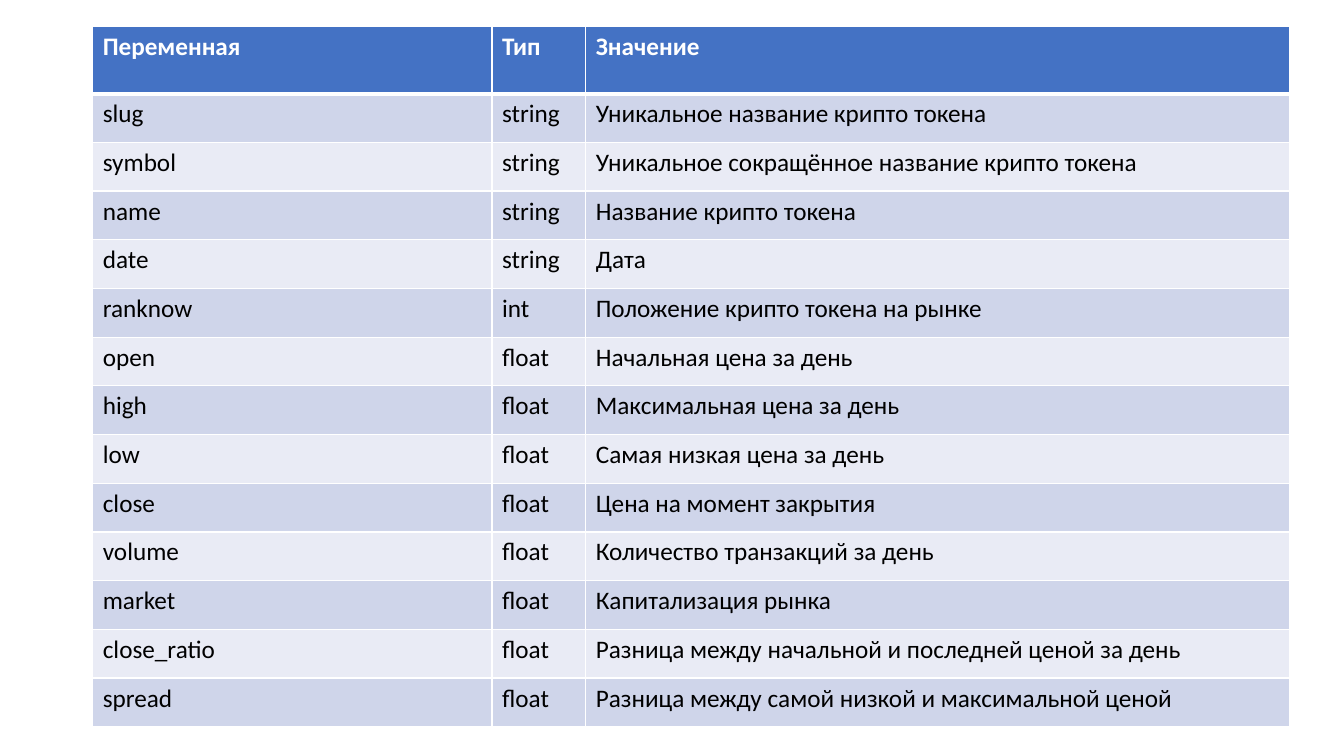
from lxml import etree
from pptx import Presentation
from pptx.dml import color
from pptx.oxml import ns
from pptx.util import Inches, Pt

HEADER = ("Переменная", "Тип", "Значение")
VARIABLES = [
    ("slug", "string", "Уникальное название крипто токена"),
    ("symbol", "string", "Уникальное сокращённое название крипто токена"),
    ("name", "string", "Название крипто токена"),
    ("date", "string", "Дата"),
    ("ranknow", "int", "Положение крипто токена на рынке"),
    ("open", "float", "Начальная цена за день"),
    ("high", "float", "Максимальная цена за день"),
    ("low", "float", "Самая низкая цена за день"),
    ("close", "float", "Цена на момент закрытия"),
    ("volume", "float", "Количество транзакций за день"),
    ("market", "float", "Капитализация рынка"),
    ("close_ratio", "float", "Разница между начальной и последней ценой за день"),
    ("spread", "float", "Разница между самой низкой и максимальной ценой"),
]
LEFT, TOP, HEIGHT = 0.92, 0.26, 6.95
COLUMN_WIDTHS = (3.96, 0.93, 6.98)
HEADER_HEIGHT = 0.67
HEADER_FILL, BAND_FILLS = "4472C4", ("CFD5EA", "E9EBF5")
WHITE, BLACK = "FFFFFF", "000000"
THIN, THICK = 1, 3


def rgb(value):
    return color.RGBColor.from_string(value)


def add_border(cell, side, width):
    properties = cell._tc.get_or_add_tcPr()
    line = etree.SubElement(properties, ns.qn("a:" + side), w=str(Pt(width)))
    fill = etree.SubElement(line, ns.qn("a:solidFill"))
    etree.SubElement(fill, ns.qn("a:srgbClr"), val=WHITE)


def fill_cell(cell, content, row_index):
    is_header = row_index == 0
    widths = {
        "lnL": THIN,
        "lnR": THIN,
        "lnT": THICK if row_index == 1 else THIN,
        "lnB": THICK if is_header else THIN,
    }
    for side, width in widths.items():
        add_border(cell, side, width)
    cell.fill.solid()
    cell.fill.fore_color.rgb = rgb(HEADER_FILL if is_header else BAND_FILLS[(row_index - 1) % 2])
    cell.text_frame.text = content
    font = cell.text_frame.paragraphs[0].runs[0].font
    font.name = "Calibri"
    font.size = Pt(18)
    font.bold = is_header
    font.color.rgb = rgb(WHITE if is_header else BLACK)


def main():
    presentation = Presentation()
    presentation.slide_width, presentation.slide_height = Inches(13.33), Inches(7.5)
    slide = presentation.slides.add_slide(presentation.slide_layouts[6])
    rows = [HEADER] + VARIABLES
    table = slide.shapes.add_table(
        len(rows), len(HEADER),
        Inches(LEFT), Inches(TOP), Inches(sum(COLUMN_WIDTHS)), Inches(HEIGHT),
    ).table
    for column, width in zip(table.columns, COLUMN_WIDTHS):
        column.width = Inches(width)
    variable_height = (HEIGHT - HEADER_HEIGHT) / len(VARIABLES)
    for row_index, row in enumerate(rows):
        table.rows[row_index].height = Inches(variable_height if row_index else HEADER_HEIGHT)
        for column_index, content in enumerate(row):
            fill_cell(table.cell(row_index, column_index), content, row_index)
    presentation.save("out.pptx")


if __name__ == "__main__":
    main()
